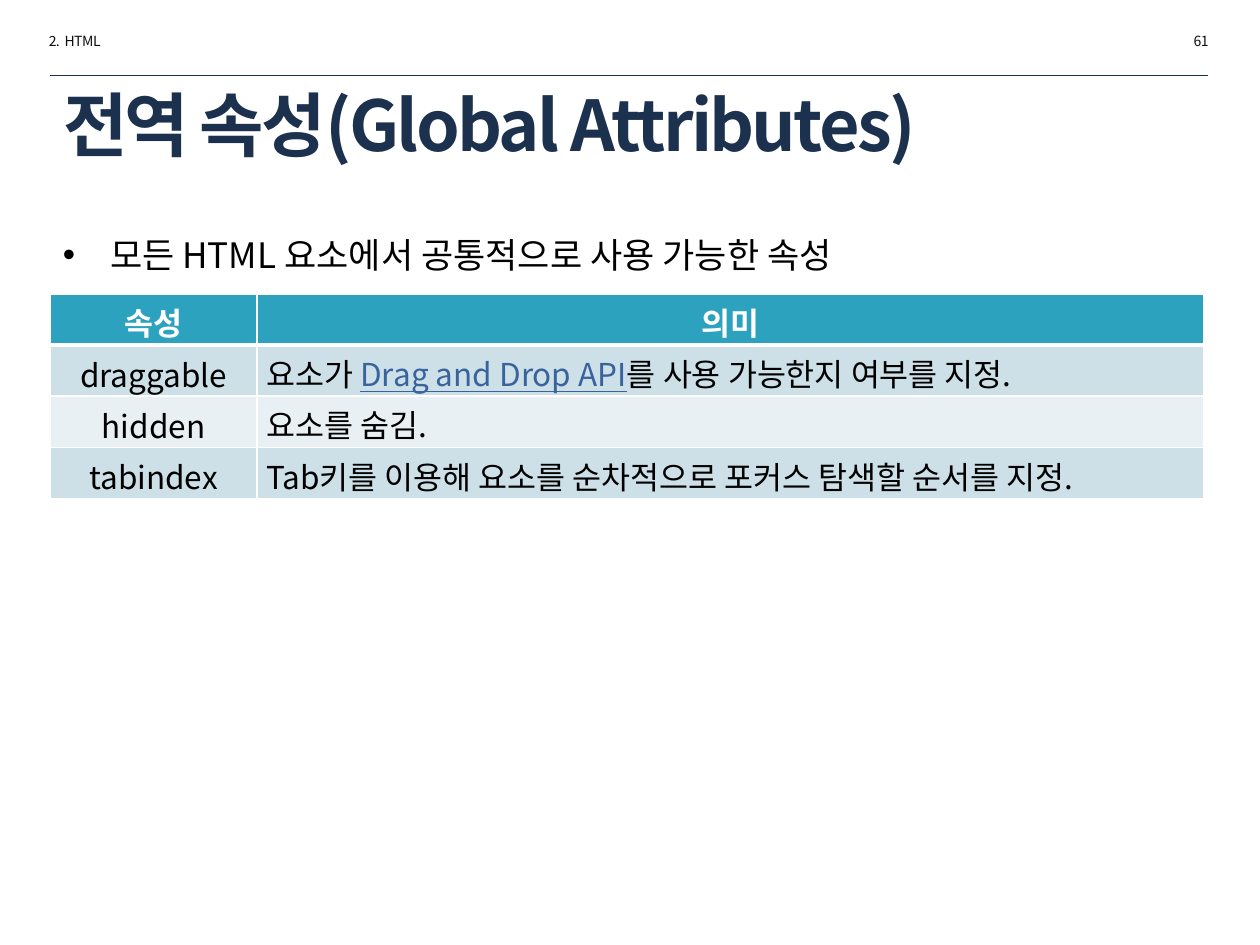
from pptx import Presentation
from pptx.dml.color import RGBColor
from pptx.enum.shapes import MSO_CONNECTOR
from pptx.enum.text import MSO_ANCHOR, PP_ALIGN
from pptx.oxml.xmlchemy import OxmlElement
from pptx.util import Pt

FONT = "Noto Sans CJK KR"
HUES = {
    "navy": "1C314E", "ink": "0D0D0D", "black": "000000", "white": "FFFFFF",
    "teal": "2DA2BF", "band": "CDE0E8", "pale": "E8F0F4", "link": "39639D",
}
ROWS = [
    ("속성", ["의미"]),
    ("draggable", ["요소가\u00a0", "Drag and Drop API", "를 사용 가능한지 여부를 지정."]),
    ("hidden", ["요소를 숨김."]),
    ("tabindex", ["Tab키를 이용해 요소를 순차적으로 포커스 탐색할 순서를 지정."]),
]


def hue(name):
    return RGBColor.from_string(HUES[name])


def child(parent, tag, **attrs):
    node = OxmlElement(tag)
    for key, value in attrs.items():
        node.set(key, str(value))
    parent.append(node)
    return node


def style(run, size, color, bold=False, gap=0):
    run.font.size = Pt(size)
    run.font.name = FONT
    run.font.bold = bold
    run.font.color.rgb = hue(color)
    props = run.font._element
    child(props, "a:ea", typeface=FONT)
    if gap:
        props.set("spc", str(int(gap * 100)))


def place(shape, box):
    shape.left, shape.top, shape.width, shape.height = map(Pt, box)


def label(slide, box, text, size, color, align=PP_ALIGN.LEFT, gap=0):
    shape = slide.shapes.add_textbox(*map(Pt, box))
    shape.text_frame.word_wrap = True
    para = shape.text_frame.paragraphs[0]
    para.text = text
    para.alignment = align
    style(para.runs[0], size, color, gap=gap)
    return para


def header(slide, box):
    left, top, width, height = box
    side = 124.6
    label(slide, (left - 8, top, side, 17.3), "2.  HTML", 8, "ink", gap=-0.3)
    label(slide, (left + width - side + 7.2, top, side, 17.3), "61", 8, "ink",
          PP_ALIGN.RIGHT, -0.3)
    base = top + height
    rule = slide.shapes.add_connector(
        MSO_CONNECTOR.STRAIGHT, Pt(left), Pt(base), Pt(left + width), Pt(base))
    rule.line.color.rgb = hue("navy")
    rule.line.width = Pt(0.25)
    child(rule._element.spPr, "a:effectLst")


def heading(slide, box):
    title = slide.shapes.title
    place(title, box)
    frame = title.text_frame
    frame.text = "전역 속성(Global Attributes)"
    frame.word_wrap = True
    frame.vertical_anchor = MSO_ANCHOR.MIDDLE
    para = frame.paragraphs[0]
    para.alignment = PP_ALIGN.LEFT
    style(para.runs[0], 40, "navy", True, -1.5)


def bullet(slide, box):
    para = label(slide, box, "모든 HTML 요소에서 공통적으로 사용 가능한 속성", 20, "black")
    para.line_spacing = 1.5
    props = para._p.get_or_add_pPr()
    indent = int(Pt(27))
    props.set("marL", str(indent))
    props.set("indent", str(-indent))
    child(props, "a:buFont", typeface="Arial")
    child(props, "a:buChar", char="•")


def edge(cell, base):
    props = cell._tc.get_or_add_tcPr()
    widths = {"lnL": 1, "lnR": 1, "lnT": 1, "lnB": base}
    for spot, (tag, width) in enumerate(widths.items()):
        line = child(props, "a:" + tag, w=int(Pt(width)))
        child(child(line, "a:solidFill"), "a:srgbClr", val=HUES["white"])
        props.remove(line)
        props.insert(spot, line)


def fill(cell, parts, row, center):
    top = row == 0
    cell.fill.solid()
    cell.fill.fore_color.rgb = hue("teal" if top else ("pale", "band")[row % 2])
    cell.margin_left = cell.margin_right = Pt(5.4)
    cell.margin_top, cell.margin_bottom = Pt(3), Pt(0)
    if center and not top:
        cell.vertical_anchor = MSO_ANCHOR.MIDDLE
    para = cell.text_frame.paragraphs[0]
    para.alignment = PP_ALIGN.CENTER if center or top else PP_ALIGN.LEFT
    for spot, part in enumerate(parts):
        run = para.add_run()
        run.text = part
        linked = spot == 1
        style(run, 18, "white" if top else "link" if linked else "black", top)
        if linked:
            run.font.underline = True
    edge(cell, 3 if top else 1)


def grid(slide, box):
    table = slide.shapes.add_table(len(ROWS), 2, *map(Pt, box)).table
    first = 118
    table.columns[0].width = Pt(first)
    table.columns[1].width = Pt(box[2] - first)
    for row, (name, parts) in enumerate(ROWS):
        table.rows[row].height = Pt(box[3] / len(ROWS))
        fill(table.cell(row, 0), [name], row, True)
        fill(table.cell(row, 1), parts, row, False)


def build():
    deck = Presentation()
    deck.slide_width, deck.slide_height = Pt(720), Pt(540)
    slide = deck.slides.add_slide(deck.slide_layouts[5])
    header(slide, (28.8, 15.1, 661.7, 28.1))
    heading(slide, (28.8, 47.5, 658.8, 46))
    bullet(slide, (28.8, 118, 684, 75.6))
    grid(slide, (28.8, 168, 658.8, 116.8))
    deck.save("out.pptx")


build()
